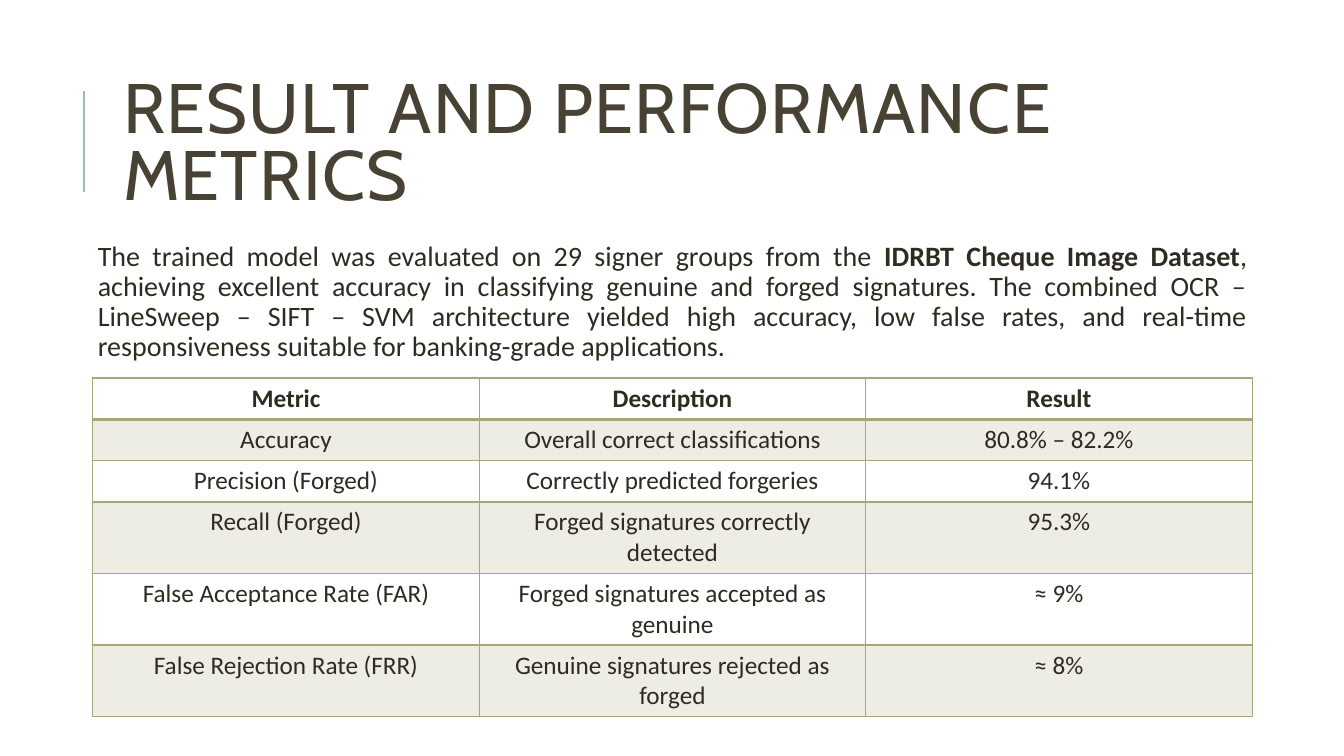
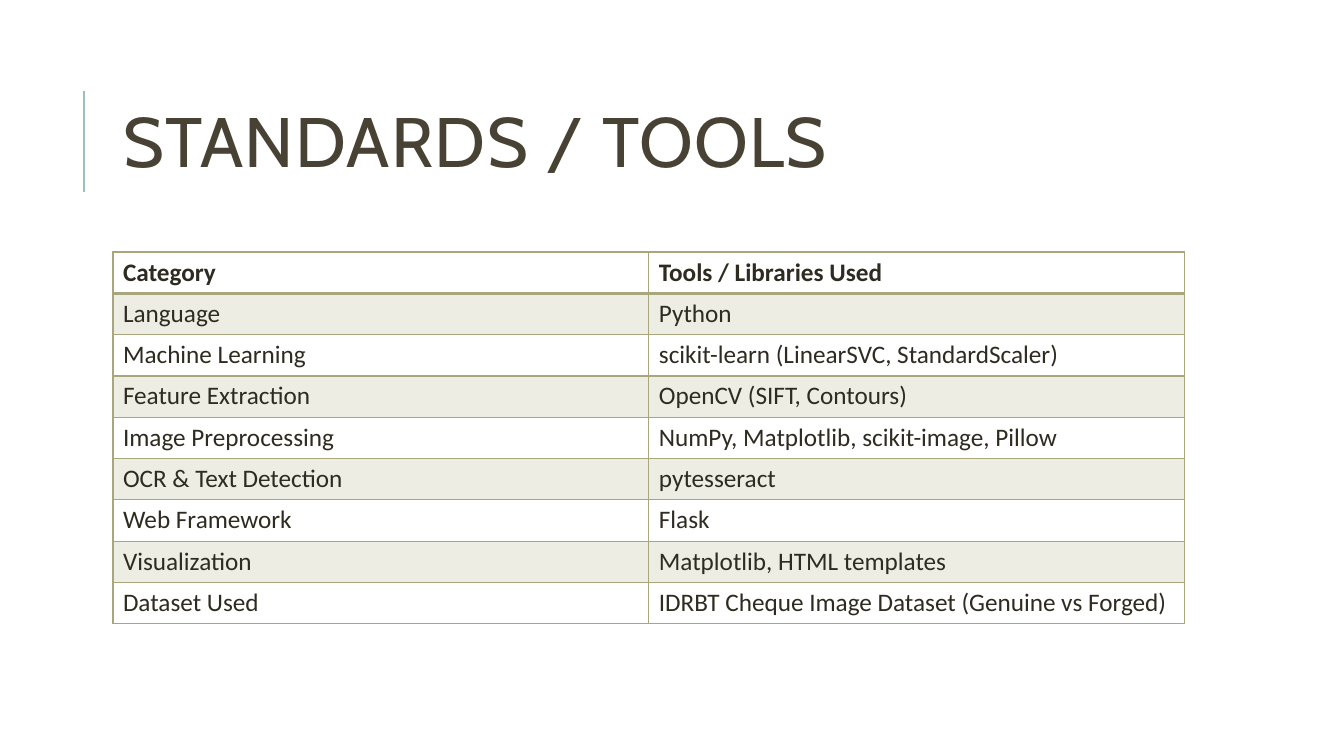
from dataclasses import dataclass

import lxml.etree
import pptx
import pptx.dml.color
import pptx.enum.shapes
import pptx.enum.text
import pptx.oxml
import pptx.oxml.ns
import pptx.presentation
import pptx.slide
import pptx.table
import pptx.util

Inches = pptx.util.Inches
Pt = pptx.util.Pt
RGBColor = pptx.dml.color.RGBColor
PP_ALIGN = pptx.enum.text.PP_ALIGN
qn = pptx.oxml.ns.qn

# Shared look
INK = RGBColor(0x2E, 0x2B, 0x21)
TITLE_BROWN = RGBColor(0x47, 0x42, 0x33)
RULE_TEAL = RGBColor(0x9C, 0xBE, 0xBD)
OLIVE = RGBColor(0xA9, 0xA5, 0x7C)
TITLE_FONT = "Cabin"
BODY_FONT = "Calibri"
BAND_OPACITY = 20
TITLE_ONLY = 5
ROW_HEIGHT = 0.41
WRAPPED_ROW_HEIGHT = 0.71


@dataclass(frozen=True)
class TableSpec:
    left: float
    top: float
    width: float
    align: PP_ALIGN
    row_heights: list[float]
    rows: list[tuple[str, ...]]


METRICS = TableSpec(
    0.92, 3.75, 11.5, PP_ALIGN.CENTER,
    [ROW_HEIGHT] * 3 + [WRAPPED_ROW_HEIGHT] * 3,
    [
        ("Metric", "Description", "Result"),
        ("Accuracy", "Overall correct classifications", "80.8% – 82.2%"),
        ("Precision (Forged)", "Correctly predicted forgeries", "94.1%"),
        ("Recall (Forged)", "Forged signatures correctly detected", "95.3%"),
        ("False Acceptance Rate (FAR)", "Forged signatures accepted as genuine", "≈ 9%"),
        ("False Rejection Rate (FRR)", "Genuine signatures rejected as forged", "≈ 8%"),
    ],
)

TOOLS = TableSpec(
    1.12, 2.5, 10.63, PP_ALIGN.LEFT,
    [ROW_HEIGHT] * 9,
    [
        ("Category", "Tools / Libraries Used"),
        ("Language", "Python"),
        ("Machine Learning", "scikit-learn (LinearSVC, StandardScaler)"),
        ("Feature Extraction", "OpenCV (SIFT, Contours)"),
        ("Image Preprocessing", "NumPy, Matplotlib, scikit-image, Pillow"),
        ("OCR & Text Detection", "pytesseract"),
        ("Web Framework", "Flask"),
        ("Visualization", "Matplotlib, HTML templates"),
        ("Dataset Used", "IDRBT Cheque Image Dataset (Genuine vs Forged)"),
    ],
)

# (text, bold) pieces of the summary paragraph
SUMMARY = [
    ("The trained model was evaluated on 29 signer groups from the ", False),
    ("IDRBT Cheque Image Dataset", True),
    (", achieving excellent accuracy in classifying genuine and forged signatures. "
     "The combined OCR – LineSweep – SIFT – SVM architecture yielded high accuracy, "
     "low false rates, and real-time responsiveness suitable for banking-grade "
     "applications.", False),
]


def add_titled_slide(deck: pptx.presentation.Presentation, heading: str) -> pptx.slide.Slide:
    """Add a slide with the teal rule and the styled title."""
    slide = deck.slides.add_slide(deck.slide_layouts[TITLE_ONLY])

    # Rule left of the title
    rule = slide.shapes.add_connector(
        pptx.enum.shapes.MSO_CONNECTOR.STRAIGHT,
        Inches(0.83), Inches(1.9), Inches(0.83), Inches(0.9))
    rule.line.color.rgb = RULE_TEAL
    rule.line.width = Pt(1.5)
    lxml.etree.SubElement(rule._element.spPr, qn("a:effectLst"))

    # Title
    title = slide.shapes.title
    title.left, title.top = Inches(1.12), Inches(0.64)
    title.width, title.height = Inches(10.63), Inches(1.64)
    frame = title.text_frame
    frame.text = heading
    frame.word_wrap = True
    frame.auto_size = pptx.enum.text.MSO_AUTO_SIZE.NONE
    frame.vertical_anchor = pptx.enum.text.MSO_ANCHOR.MIDDLE
    paragraph = frame.paragraphs[0]
    paragraph.alignment = PP_ALIGN.LEFT
    paragraph.line_spacing = 0.8
    paragraph.font.name = TITLE_FONT
    paragraph.font.size = Pt(50)
    paragraph.font.color.rgb = TITLE_BROWN
    for run in paragraph.runs:
        run._r.get_or_add_rPr().set("spc", "100")
    return slide


def add_summary(slide: pptx.slide.Slide) -> None:
    """Add the justified paragraph above the metrics."""
    summary = slide.shapes.add_textbox(Inches(0.92), Inches(2.35), Inches(11.5), Inches(5.15))
    frame = summary.text_frame
    frame.word_wrap = True
    frame.margin_left = frame.margin_right = Inches(0.05)
    frame.margin_top = frame.margin_bottom = Inches(0.05)
    paragraph = frame.paragraphs[0]
    paragraph.alignment = PP_ALIGN.JUSTIFY
    paragraph.line_spacing = 0.9
    paragraph.space_before = Pt(12)
    paragraph.space_after = Pt(2)
    paragraph.font.name = BODY_FONT
    paragraph.font.size = Pt(20)
    paragraph.font.color.rgb = INK
    for text, bold in SUMMARY:
        run = paragraph.add_run()
        run.text = text
        run.font.bold = bold


def set_borders(cell: pptx.table._Cell, top: float, bottom: float) -> None:
    """Draw olive borders; side borders are 1 pt, top and bottom as given."""
    properties = cell._tc.get_or_add_tcPr()
    widths = {"lnL": 1, "lnR": 1, "lnT": top, "lnB": bottom}
    for position, (side, width) in enumerate(widths.items()):
        border = pptx.oxml.parse_xml(
            f'<a:{side} {pptx.oxml.ns.nsdecls("a")} w="{Pt(width)}">'
            f'<a:solidFill><a:srgbClr val="{OLIVE}"/></a:solidFill></a:{side}>')
        properties.insert(position, border)


def set_band(cell: pptx.table._Cell) -> None:
    """Fill a cell with translucent olive."""
    cell.fill.solid()
    cell.fill.fore_color.rgb = OLIVE
    color = cell._tc.tcPr.find(qn("a:solidFill")).find(qn("a:srgbClr"))
    lxml.etree.SubElement(color, qn("a:alpha"), val=str(BAND_OPACITY * 1000))


def add_banded_table(slide: pptx.slide.Slide, spec: TableSpec) -> None:
    """Add a table with a bold header and every second row tinted."""
    column_count = len(spec.rows[0])
    table = slide.shapes.add_table(
        len(spec.rows), column_count, Inches(spec.left), Inches(spec.top),
        Inches(spec.width), Inches(sum(spec.row_heights))).table
    for column in table.columns:
        column.width = Inches(spec.width / column_count)

    for r, (texts, height) in enumerate(zip(spec.rows, spec.row_heights)):
        table.rows[r].height = Inches(height)
        for c, text in enumerate(texts):
            cell = table.cell(r, c)
            cell.text = text
            paragraph = cell.text_frame.paragraphs[0]
            paragraph.alignment = spec.align
            paragraph.font.name = BODY_FONT
            paragraph.font.size = Pt(18)
            paragraph.font.bold = r == 0
            paragraph.font.color.rgb = INK
            if r % 2:
                set_band(cell)
            else:
                cell.fill.background()
            # The line under the header is heavier
            set_borders(cell, top=2 if r == 1 else 1, bottom=2 if r == 0 else 1)


def main() -> None:
    deck = pptx.Presentation()
    deck.slide_width = Inches(13.33)
    deck.slide_height = Inches(7.5)

    # Results
    results = add_titled_slide(deck, "RESULT AND PERFORMANCE METRICS")
    add_summary(results)
    add_banded_table(results, METRICS)

    # Tools
    tools = add_titled_slide(deck, "STANDARDS / TOOLS")
    add_banded_table(tools, TOOLS)

    deck.save("out.pptx")


if __name__ == "__main__":
    main()
